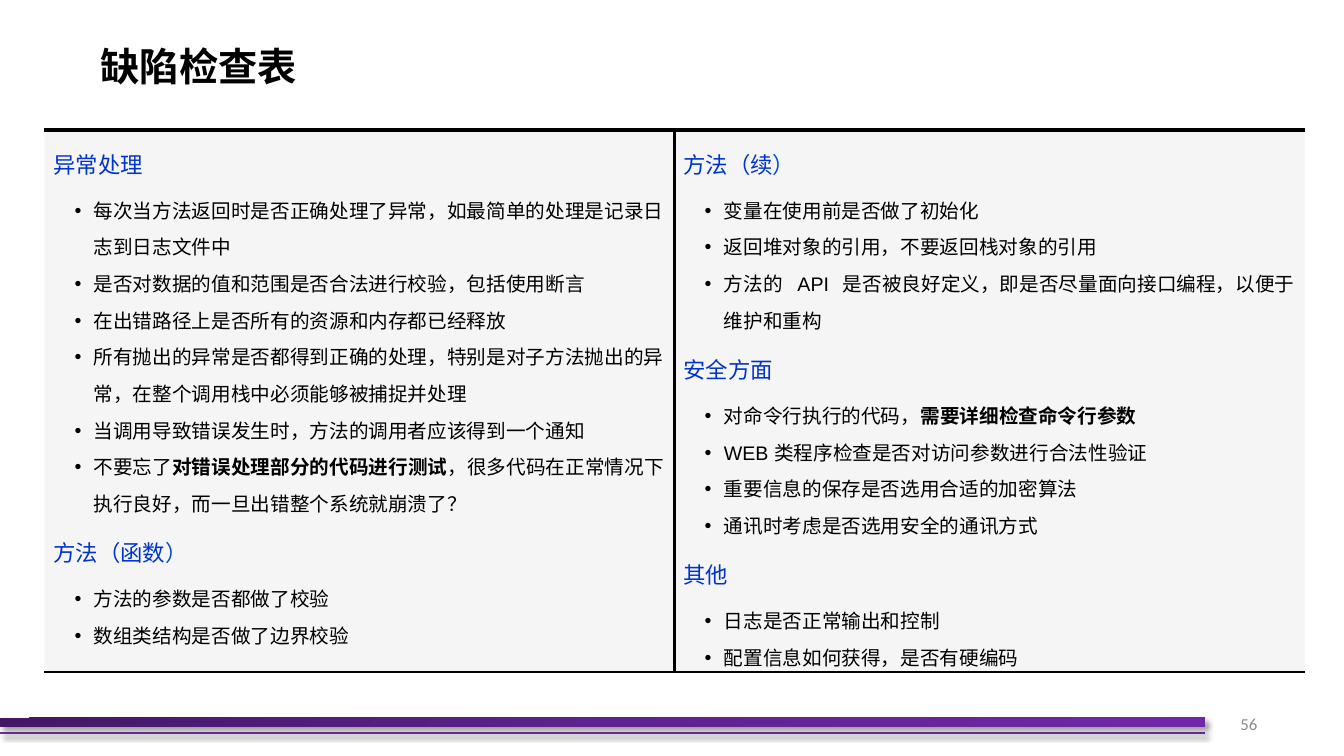
from dataclasses import dataclass

from lxml import etree
from pptx import Presentation
from pptx import util as u
from pptx.dml.color import RGBColor
from pptx.enum import shapes, text
from pptx.oxml import ns


@dataclass(frozen=True)
class Theme:
    font: str = "Noto Sans CJK SC"
    latin: str = "Arial"
    num: str = "Calibri"
    ink: str = "000000"
    blue: str = "0033CC"
    paren: str = "004DD6"
    gray: str = "8C8C8C"
    panel: str = "F5F5F5"
    rule: str = "7030A0"
    grad: tuple = ((0, "431764"), (50, "5F218E"), (100, "7128A8"))
    title: float = 28
    head: float = 16
    body: float = 14
    small: float = 12
    pitch: float = 26.15


def sub(node, tag, **attrs):
    return etree.SubElement(node, ns.qn(tag), attrs)


class Deck:
    def __init__(self, theme):
        self.t = theme
        self.prs = Presentation()
        self.prs.slide_width = u.Inches(13.33)
        self.prs.slide_height = u.Inches(7.5)
        self.slide = self.prs.slides.add_slide(self.prs.slide_layouts[5])

    def run(self, para, words, size, color, bold=False, face=None):
        run = para.add_run()
        run.text = words
        font = run.font
        font.name = face or self.t.font
        font.size = u.Pt(size)
        font.bold = bold
        font.color.rgb = RGBColor.from_string(color)
        sub(font._element, "a:ea", typeface=self.t.font)

    def frame(self, shape, anchor, top=0):
        frame = shape.text_frame
        frame.word_wrap = True
        frame.auto_size = text.MSO_AUTO_SIZE.NONE
        frame.vertical_anchor = anchor
        frame.margin_left = frame.margin_right = frame.margin_bottom = 0
        frame.margin_top = u.Inches(top)
        return frame

    def box(self, x, y, w, h, anchor=text.MSO_ANCHOR.TOP, top=0):
        shape = self.slide.shapes.add_textbox(*map(u.Inches, (x, y, w, h)))
        return self.frame(shape, anchor, top)

    def title(self, words, x, y, w, h):
        shape = self.slide.shapes.title
        shape.left, shape.top, shape.width, shape.height = map(u.Inches, (x, y, w, h))
        para = self.frame(shape, text.MSO_ANCHOR.MIDDLE, 0.01).paragraphs[0]
        para.alignment = text.PP_ALIGN.LEFT
        self.run(para, words, self.t.title, self.t.ink, bold=True)

    def effect(self, shape, shadow):
        effects = sub(shape._element.spPr, "a:effectLst")
        if shadow:
            cast = sub(effects, "a:outerShdw", blurRad=str(u.Pt(4)),
                       dist=str(u.Pt(3)), dir="2700000", algn="tl", rotWithShape="0")
            sub(sub(cast, "a:srgbClr", val="000000"), "a:alpha", val="40000")

    def rect(self, x, y, w, h, color=None, grad=None, shadow=False):
        shape = self.slide.shapes.add_shape(
            shapes.MSO_SHAPE.RECTANGLE, *map(u.Inches, (x, y, w, h)))
        fill = shape.fill
        if grad:
            fill.gradient()
            fill.gradient_angle = 315
            stops = shape._element.spPr.find(".//" + ns.qn("a:gsLst"))
            for stop in list(stops):
                stops.remove(stop)
            for at, tone in grad:
                sub(sub(stops, "a:gs", pos=str(at * 1000)), "a:srgbClr", val=tone)
        else:
            fill.solid()
            fill.fore_color.rgb = RGBColor.from_string(color)
        shape.line.fill.background()
        self.effect(shape, shadow)

    def line(self, x1, y1, x2, y2, color, width, shadow=False):
        line = self.slide.shapes.add_connector(
            shapes.MSO_CONNECTOR.STRAIGHT, *map(u.Inches, (x1, y1, x2, y2)))
        line.line.color.rgb = RGBColor.from_string(color)
        line.line.width = u.Pt(width)
        self.effect(line, shadow)

    def head(self, para, words, first):
        para.line_spacing = u.Pt(22)
        para.space_before = u.Pt(0 if first else 14.4)
        stem = words.removesuffix("）")
        self.run(para, stem, self.t.head, self.t.blue)
        if stem != words:
            self.run(para, "）", self.t.head, self.t.paren)

    def bullet(self, para, item, first):
        para.line_spacing = u.Pt(self.t.pitch)
        para.space_before = u.Pt(5.5 if first else 0)
        props = para._p.get_or_add_pPr()
        props.set("marL", str(u.Inches(0.4)))
        props.set("indent", str(u.Inches(-0.19)))
        sub(props, "a:buFont", typeface=self.t.latin)
        sub(props, "a:buChar", char="•")
        tabs = sub(props, "a:tabLst")
        for stop in (0.4, 1.13, 1.58):
            sub(tabs, "a:tab", pos=str(u.Inches(stop)), algn="l")
        for part in [item] if isinstance(item, str) else item:
            words, style = (part, {}) if isinstance(part, str) else part
            self.run(para, words, self.t.body, self.t.ink, **style)

    def groups(self, x, y, w, h, data):
        frame = self.box(x, y, w, h, top=0.01)
        for i, (name, items) in enumerate(data):
            para = frame.add_paragraph() if i else frame.paragraphs[0]
            self.head(para, name, first=i == 0)
            for j, item in enumerate(items):
                self.bullet(frame.add_paragraph(), item, first=j == 0)


BOLD = {"bold": True}
LATIN = {"face": Theme.latin}

LEFT = [
    ("异常处理", [
        "每次当方法返回时是否正确处理了异常，如最简单的处理是记录日 志到日志文件中",
        "是否对数据的值和范围是否合法进行校验，包括使用断言",
        "在出错路径上是否所有的资源和内存都已经释放",
        "所有抛出的异常是否都得到正确的处理，特别是对子方法抛出的异 常，在整个调用栈中必须能够被捕捉并处理",
        "当调用导致错误发生时，方法的调用者应该得到一个通知",
        ["不要忘了", ("对错误处理部分的代码进行测试", BOLD),
         "，很多代码在正常情况下 执行良好，而一旦出错整个系统就崩溃了？"],
    ]),
    ("方法（函数）", ["方法的参数是否都做了校验", "数组类结构是否做了边界校验"]),
]
RIGHT = [
    ("方法（续）", [
        "变量在使用前是否做了初始化",
        "返回堆对象的引用，不要返回栈对象的引用",
        ["方法的\t", ("API\t", LATIN),
         "是否被良好定义，即是否尽量面向接口编程，以便于 维护和重构"],
    ]),
    ("安全方面", [
        ["对命令行执行的代码，", ("需要详细检查命令行参数", BOLD)],
        [("WEB ", LATIN), "类程序检查是否对访问参数进行合法性验证"],
        "重要信息的保存是否选用合适的加密算法",
        "通讯时考虑是否选用安全的通讯方式",
    ]),
    ("其他", ["日志是否正常输出和控制", "配置信息如何获得，是否有硬编码"]),
]


def main():
    t = Theme()
    deck = Deck(t)

    # Footer band
    deck.line(0, 7.27, 11.95, 7.27, t.rule, 1.5, shadow=True)
    deck.rect(0, 7.12, 11.95, 0.09, grad=t.grad, shadow=True)

    deck.title("缺陷检查表", 1, 0.4, 1.97, 0.49)

    # Two panels and their rules
    x, y, w, h = 0.44, 1.29, 6.25, 5.38
    for col in range(2):
        deck.rect(x + col * w, y, w, h, t.panel)
    deck.line(x + w, y, x + w, y + h, t.ink, 1.5)
    for top, width in ((y, 2.25), (y + h, 1.5)):
        deck.line(x, top, x + 2 * w, top, t.ink, width)

    # Checklists
    for col, data in enumerate((LEFT, RIGHT)):
        deck.groups(x + col * w + 0.09, 1.45, 6.07, 5.15, data)

    # Page number
    para = deck.box(11.38, 6.98, 1.09, 0.4, text.MSO_ANCHOR.MIDDLE).paragraphs[0]
    para.alignment = text.PP_ALIGN.RIGHT
    deck.run(para, "56", t.small, t.gray, face=t.num)

    deck.prs.save("out.pptx")


if __name__ == "__main__":
    main()
